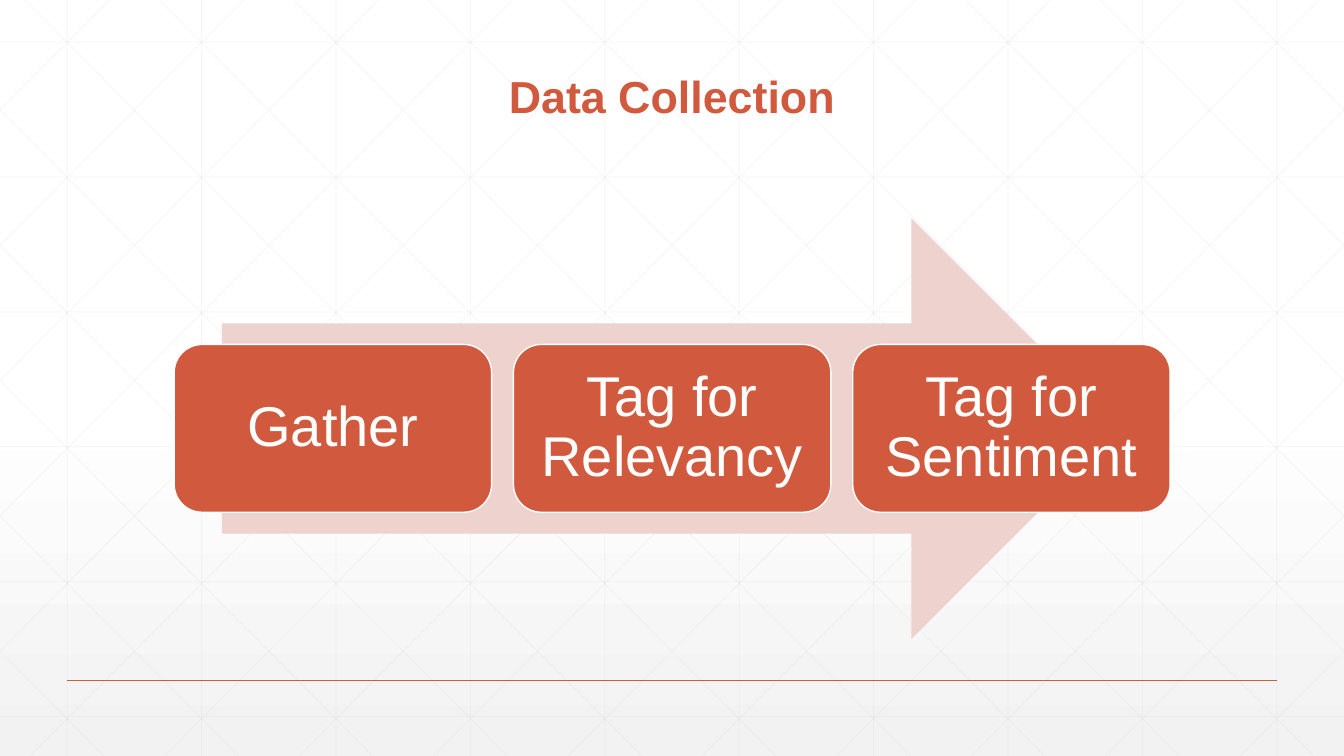
import lxml.etree
import pptx
import pptx.dml.color
import pptx.enum.shapes
import pptx.enum.text
import pptx.oxml.ns
import pptx.util

WIDTH, HEIGHT = 33.87, 19.05  # all lengths in cm
GRID_STEP = WIDTH / 10


def color(hex_code):
    return pptx.dml.color.RGBColor.from_string(hex_code)


def cm(*lengths):
    return [pptx.util.Cm(length) for length in lengths]


class Deck:
    font = "Arial"
    accent, pale, white, grid = "D15A3E", "EED2CE", "FFFFFF", "D9D9D9"

    def __init__(self):
        self.presentation = pptx.Presentation()
        self.presentation.slide_width, self.presentation.slide_height = cm(WIDTH, HEIGHT)
        self.slide = self.presentation.slides.add_slide(self.presentation.slide_layouts[5])

    def background(self, top, bottom):
        fill = self.slide.background.fill
        fill.gradient()
        fill.gradient_angle = 270
        for stop, position, hex_code in zip(fill.gradient_stops, (0.53, 1), (top, bottom)):
            stop.position = position
            stop.color.rgb = color(hex_code)

    def label(self, shape, text, size, hex_code, bold=False):
        frame = shape.text_frame
        frame.text = text
        frame.word_wrap = True
        frame.vertical_anchor = pptx.enum.text.MSO_ANCHOR.MIDDLE
        paragraph = frame.paragraphs[0]
        paragraph.alignment = pptx.enum.text.PP_ALIGN.CENTER
        paragraph.line_spacing = 0.9
        font = paragraph.runs[0].font
        font.name, font.size, font.bold = self.font, pptx.util.Pt(size), bold
        font.color.rgb = color(hex_code)

    def title(self, text, *box):
        heading = self.slide.shapes.title
        heading.left, heading.top, heading.width, heading.height = cm(*box)
        self.label(heading, text, 32, self.accent, bold=True)
        # Bring the title in front of the grid
        self.slide.shapes._spTree.append(heading._element)

    def line(self, start, end, hex_code, weight, opacity=100):
        connector = self.slide.shapes.add_connector(
            pptx.enum.shapes.MSO_CONNECTOR.STRAIGHT, *cm(*start, *end))
        connector.line.color.rgb = color(hex_code)
        connector.line.width = pptx.util.Pt(weight)
        properties = connector._element.spPr
        qn = pptx.oxml.ns.qn
        if opacity < 100:
            tint = properties.find(".//" + qn("a:srgbClr"))
            lxml.etree.SubElement(tint, qn("a:alpha"), val=str(opacity * 1000))
        lxml.etree.SubElement(properties, qn("a:effectLst"))

    def shape(self, kind, box, fill, outline=None):
        shape = self.slide.shapes.add_shape(kind, *cm(*box))
        shape.shadow.inherit = False
        shape.fill.solid()
        shape.fill.fore_color.rgb = color(fill)
        if outline:
            shape.line.color.rgb = color(outline)
            shape.line.width = pptx.util.Pt(1)
        else:
            shape.line.fill.background()
        return shape

    def step(self, text, *box):
        card = self.shape(pptx.enum.shapes.MSO_SHAPE.ROUNDED_RECTANGLE, box,
                          self.accent, self.white)
        self.label(card, text, 40, self.white)
        frame = card.text_frame
        frame.margin_left = frame.margin_right = pptx.util.Cm(0.43)
        frame.margin_top = frame.margin_bottom = pptx.util.Cm(0.43)

    def grid_line(self, start, end):
        self.line(start, end, self.grid, 0.5, opacity=25)


def draw_grid(deck):
    for column in range(10):
        x = GRID_STEP * (column + 0.5)
        deck.grid_line((x, 0), (x, HEIGHT))
    for row in range(6):
        y = 1.06 + 3.4 * row
        deck.grid_line((0, y), (WIDTH, y))

    # Diagonals, cut at the slide edges and mirrored left to right
    run = 18.93
    slope = HEIGHT / run
    for index in range(-5, 10):
        origin = 0.63 + GRID_STEP * index
        left, right = max(origin, 0), min(origin + run, WIDTH)
        top, bottom = (left - origin) * slope, (right - origin) * slope
        deck.grid_line((left, top), (right, bottom))
        deck.grid_line((WIDTH - left, top), (WIDTH - right, bottom))


def main():
    deck = Deck()

    # Backdrop
    deck.background("FFFFFF", "F2F2F2")
    draw_grid(deck)
    deck.line((1.69, 17.15), (32.17, 17.15), deck.accent, 1)

    # Heading
    deck.title("Data Collection", 3.6, 0.91, 26.67, 3.18)

    # Process: arrow with the three steps on top
    deck.shape(pptx.enum.shapes.MSO_SHAPE.RIGHT_ARROW, (5.59, 5.5, 22.68, 10.6), deck.pale)
    for index, step in enumerate(("Gather", "Tag for Relevancy", "Tag for Sentiment")):
        deck.step(step, 4.39 + 8.55 * index, 8.68, 8, 4.23)

    deck.presentation.save("out.pptx")


if __name__ == "__main__":
    main()
